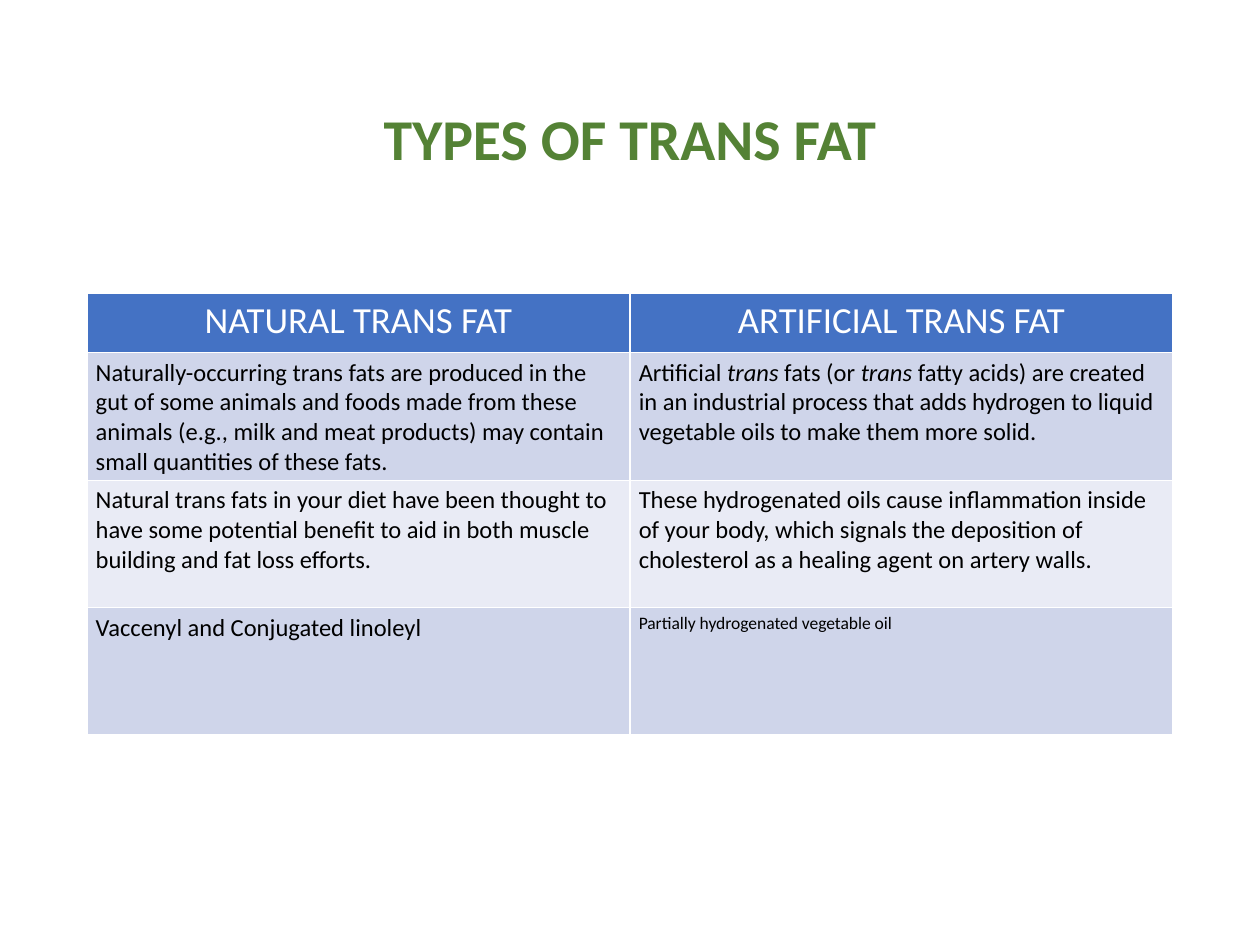
from dataclasses import dataclass

from pptx import Presentation
from pptx.dml.color import RGBColor
from pptx.enum.text import MSO_ANCHOR, PP_ALIGN
from pptx.util import Inches, Pt

CENTER, LEFT = PP_ALIGN.CENTER, PP_ALIGN.LEFT
MIDDLE = MSO_ANCHOR.MIDDLE


@dataclass(frozen=True)
class Theme:
    font: str = "Calibri"
    title: str = "548235"
    header: str = "4472C4"
    header_text: str = "FFFFFF"
    text: str = "000000"
    bands: tuple = ("CFD5EA", "E9EBF5")
    title_size: int = 33
    header_size: int = 21
    body_size: int = 14
    small_size: int = 10


THEME = Theme()

HEADERS = ("NATURAL TRANS FAT", "ARTIFICIAL TRANS FAT")
ROWS = (
    (
        [("Naturally-occurring trans fats are produced in the gut of some animals "
          "and foods made from these animals (e.g., milk and meat products) may "
          "contain small quantities of these fats.", False)],
        [("Artificial ", False), ("trans", True), (" fats (or ", False), ("trans", True),
         (" fatty acids) are created in an industrial process that adds hydrogen "
          "to liquid vegetable oils to make them more solid.", False)],
    ),
    (
        [("Natural trans fats in your diet have been thought to have some potential "
          "benefit to aid in both muscle building and fat loss efforts.", False)],
        [("These hydrogenated oils cause inflammation inside of your body, which "
          "signals the deposition of cholesterol as a healing agent on artery "
          "walls.", False)],
    ),
    (
        [("Vaccenyl and Conjugated linoleyl", False)],
        [("Partially hydrogenated vegetable oil", False)],
    ),
)
SMALL_CELL = (3, 1)


def add_run(p, text, size, color, bold=False, italic=False):
    r = p.add_run()
    r.text = text
    r.font.name = THEME.font
    r.font.size = Pt(size)
    r.font.bold = bold
    r.font.italic = italic
    r.font.color.rgb = RGBColor.from_string(color)


def add_title(s, text, left, top, width, height):
    tf = s.shapes.add_textbox(left, top, width, height).text_frame
    tf.word_wrap = True
    tf.vertical_anchor = MIDDLE
    p = tf.paragraphs[0]
    p.alignment = CENTER
    p.line_spacing = 0.9
    add_run(p, text, THEME.title_size, THEME.title, bold=True)


def fill_cell(cell, runs, fill, size, color, align):
    cell.fill.solid()
    cell.fill.fore_color.rgb = RGBColor.from_string(fill)
    cell.margin_left = cell.margin_right = Inches(0.07)
    cell.margin_top = cell.margin_bottom = Inches(0.04)
    p = cell.text_frame.paragraphs[0]
    p.alignment = align
    for text, italic in runs:
        add_run(p, text, size, color, italic=italic)


def add_comparison(s, left, top, width, height):
    header_height = Inches(0.47)
    table = s.shapes.add_table(len(ROWS) + 1, len(HEADERS), left, top, width, height).table
    table.rows[0].height = header_height
    for col, text in enumerate(HEADERS):
        fill_cell(table.cell(0, col), [(text, False)], THEME.header,
                  THEME.header_size, THEME.header_text, CENTER)
    for row, contents in enumerate(ROWS, 1):
        table.rows[row].height = (height - header_height) // len(ROWS)
        for col, runs in enumerate(contents):
            size = THEME.small_size if (row, col) == SMALL_CELL else THEME.body_size
            fill_cell(table.cell(row, col), runs, THEME.bands[(row - 1) % 2],
                      size, THEME.text, LEFT)


def main():
    prs = Presentation()
    prs.slide_width, prs.slide_height = Inches(10), Inches(7.5)
    s = prs.slides.add_slide(prs.slide_layouts[6])
    left, width = Inches(0.69), Inches(8.62)
    add_title(s, "TYPES OF TRANS FAT", left, Inches(0.4), width, Inches(1.45))
    add_comparison(s, left, Inches(2.33), width, Inches(3.5))
    prs.save("out.pptx")


if __name__ == "__main__":
    main()
